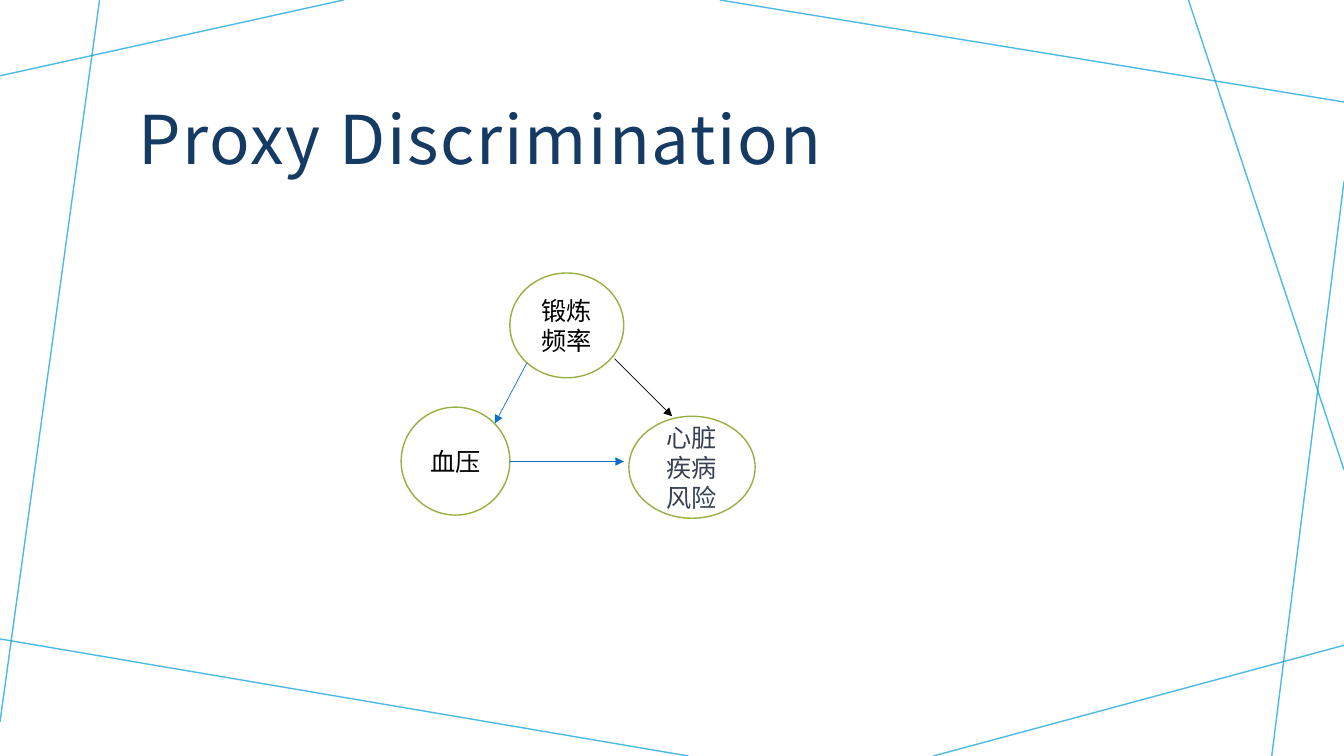
from pptx import Presentation
from pptx.dml.color import RGBColor
from pptx.enum.shapes import MSO_CONNECTOR as CONN, MSO_SHAPE as SHAPE
from pptx.enum.text import MSO_ANCHOR as ANCHOR, PP_ALIGN as ALIGN
from pptx.oxml.ns import qn
from pptx.util import Cm, Pt
from lxml.etree import SubElement

COLORS = {
    "frame": "009DD9",
    "title": "153A63",
    "node_fill": "FFFFFF",
    "node_line": "96B042",
    "text": "000000",
    "risk_text": "374151",
    "blue": "0F6FC6",
}
CJK_FONT = "Noto Sans CJK SC"
WIDTH, HEIGHT = 33.87, 19.05


def rgb(name):
    """Return the named palette colour."""
    return RGBColor.from_string(COLORS[name])


def style_run(r, size, color, font=CJK_FONT):
    """Format a run, with the CJK font for East Asian text."""
    r.font.size = Pt(size)
    r.font.name = font
    r.font.color.rgb = rgb(color)
    SubElement(r._r.get_or_add_rPr(), qn("a:ea"), typeface=CJK_FONT)


def add_line(slide, start, end, color, width):
    """Draw a straight line without a shadow."""
    line = slide.shapes.add_connector(CONN.STRAIGHT, *map(Cm, start + end))
    line.line.color.rgb = rgb(color)
    line.line.width = Pt(width)
    SubElement(line._element.spPr, qn("a:effectLst"))
    return line


def add_frame(slide, width, height):
    """Draw the translucent lines crossing the slide edges."""
    lines = [
        ((8.66, 0), (0, 1.91)),
        ((2.51, 0), (0, 18.19)),
        ((17.35, height), (0, 16.1)),
        ((width, 16.26), (23.52, height)),
        ((width, 4.57), (32.05, height)),
        ((width, 11.84), (29.95, 0)),
        ((width, 2.57), (18.14, 0)),
    ]
    for start, end in lines:
        line = add_line(slide, start, end, "frame", 1)
        clr = line._element.spPr.find(".//" + qn("a:srgbClr"))
        SubElement(clr, qn("a:alpha"), val="70000")


def add_title(slide, left, top, width, height):
    """Place the letter-spaced title in its box."""
    sp = slide.shapes.add_textbox(*map(Cm, (left, top, width, height)))
    tf = sp.text_frame
    tf.word_wrap = True
    tf.vertical_anchor = ANCHOR.MIDDLE
    tf.margin_left = tf.margin_right = tf.margin_top = Cm(0.3)
    tf.margin_bottom = Cm(0.25)
    tf.text = "Proxy Discrimination"
    p = tf.paragraphs[0]
    p.line_spacing = 1.05
    style_run(p.runs[0], 48, "title")
    p.runs[0]._r.get_or_add_rPr().set("spc", "130")


def add_node(slide, box, text, color, font):
    """Draw one outlined ellipse with centred text."""
    sp = slide.shapes.add_shape(SHAPE.OVAL, *map(Cm, box))
    sp.shadow.inherit = False
    sp.fill.solid()
    sp.fill.fore_color.rgb = rgb("node_fill")
    sp.line.color.rgb = rgb("node_line")
    sp.line.width = Pt(1)
    tf = sp.text_frame
    tf.word_wrap = True
    tf.vertical_anchor = ANCHOR.MIDDLE
    tf.text = text
    p = tf.paragraphs[0]
    p.alignment = ALIGN.CENTER
    style_run(p.runs[0], 18, color, font)


def add_causal_graph(slide, left, top):
    """Draw the three factors and the arrows between them."""
    nodes = [
        ((2.74, 0, 2.87, 2.64), "锻炼频率", "text", CJK_FONT),
        ((0, 3.38, 2.74, 2.72), "血压", "text", CJK_FONT),
        ((5.74, 3.61, 3.18, 2.57), "心脏疾病风险", "risk_text", "Calibri"),
    ]
    arrows = [
        ((5.38, 2.16), (6.83, 3.61), "text"),
        ((3.17, 2.26), (2.36, 3.79), "blue"),
        ((2.74, 4.75), (5.61, 4.75), "blue"),
    ]
    for (x, y, w, h), text, color, font in nodes:
        add_node(slide, (left + x, top + y, w, h), text, color, font)
    for (x1, y1), (x2, y2), color in arrows:
        arrow = add_line(slide, (left + x1, top + y1), (left + x2, top + y2), color, 0.5)
        SubElement(arrow.line._get_or_add_ln(), qn("a:tailEnd"), type="triangle")


def main():
    """Build and save the slide."""
    prs = Presentation()
    prs.slide_width, prs.slide_height = Cm(WIDTH), Cm(HEIGHT)
    slide = prs.slides.add_slide(prs.slide_layouts[6])
    add_frame(slide, WIDTH, HEIGHT)
    add_title(slide, 3.18, 1.47, 27.5, 3.84)
    add_causal_graph(slide, 10.11, 6.88)
    prs.save("out.pptx")


if __name__ == "__main__":
    main()
